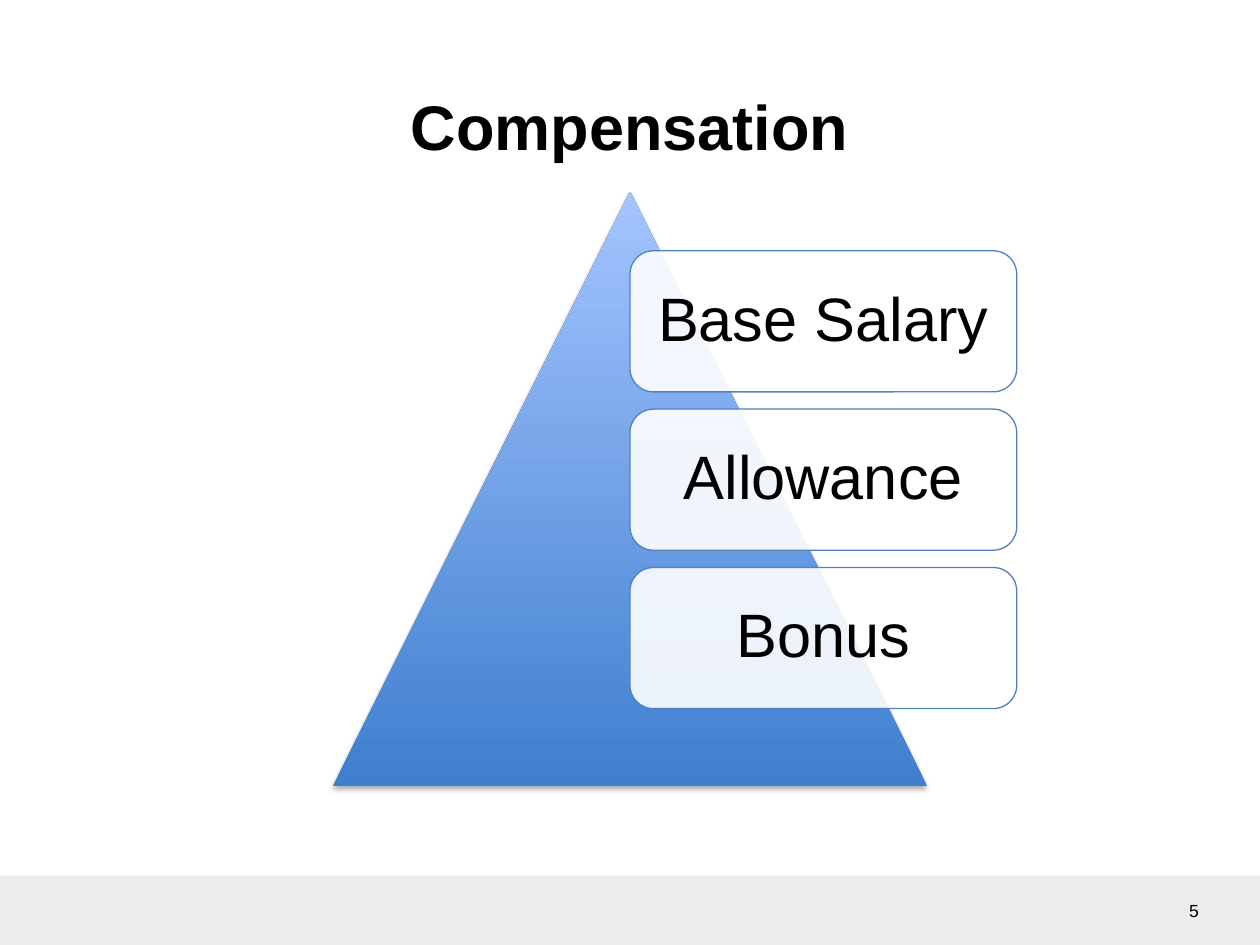
import pptx
import pptx.dml.color
import pptx.enum.shapes
import pptx.enum.text
import pptx.oxml
import pptx.oxml.ns
import pptx.util

Inches = pptx.util.Inches
SHAPE = pptx.enum.shapes.MSO_SHAPE
ALIGN = pptx.enum.text.PP_ALIGN
ANCHOR = pptx.enum.text.MSO_ANCHOR


def rgb(value):
    return pptx.dml.color.RGBColor.from_string(value)


def write(sp, text, size, bold=False, align=ALIGN.LEFT, anchor=ANCHOR.TOP,
          inset=(0.1, 0.05), spacing=1.0):
    tf = sp.text_frame
    tf.word_wrap = True
    tf.auto_size = pptx.enum.text.MSO_AUTO_SIZE.NONE
    tf.vertical_anchor = anchor
    tf.margin_left = tf.margin_right = Inches(inset[0])
    tf.margin_top = tf.margin_bottom = Inches(inset[1])
    p = tf.paragraphs[0]
    p.alignment = align
    p.line_spacing = spacing
    r = p.add_run()
    r.text = text
    r.font.name = "Arial"
    r.font.size = pptx.util.Pt(size)
    r.font.bold = bold
    r.font.color.rgb = rgb("000000")


prs = pptx.Presentation()
prs.slide_width, prs.slide_height = Inches(10), Inches(7.5)
s = prs.slides.add_slide(prs.slide_layouts[5])

title = s.shapes.title
title.left, title.top = Inches(3.16), Inches(0.66)
title.width, title.height = Inches(3.8), Inches(0.67)
write(title, "Compensation", 36, bold=True, anchor=ANCHOR.MIDDLE)

footer = s.shapes.add_shape(SHAPE.RECTANGLE, 0, Inches(6.95), Inches(10), Inches(0.55))
footer.shadow.inherit = False
footer.fill.solid()
footer.fill.fore_color.rgb = rgb("ECECEA")
footer.line.fill.background()

number = s.shapes.add_textbox(Inches(9.34), Inches(7.09), Inches(0.66), Inches(0.27))
write(number, "5", 10)

triangle = s.shapes.add_shape(
    SHAPE.ISOSCELES_TRIANGLE, Inches(2.64), Inches(1.52), Inches(4.72), Inches(4.72))
triangle.fill.gradient()
triangle.fill.gradient_angle = 90
for stop, color in zip(triangle.fill.gradient_stops, ("3F7FCE", "A4C4FF")):
    stop.color.rgb = rgb(color)
triangle.line.fill.background()
triangle.shadow.inherit = False
effects = triangle._element.spPr.find(pptx.oxml.ns.qn("a:effectLst"))
effects.append(pptx.oxml.parse_xml(
    f'<a:outerShdw {pptx.oxml.ns.nsdecls("a")} blurRad="40000" dist="23000" '
    'dir="5400000" rotWithShape="0"><a:srgbClr val="000000">'
    '<a:alpha val="35000"/></a:srgbClr></a:outerShdw>'))

for i, label in enumerate(("Base Salary", "Allowance", "Bonus")):
    sp = s.shapes.add_shape(
        SHAPE.ROUNDED_RECTANGLE, Inches(5), Inches(1.99 + 1.257 * i), Inches(3.07), Inches(1.12))
    sp.shadow.inherit = False
    sp.fill.solid()
    sp.fill.fore_color.rgb = rgb("FFFFFF")
    color = sp._element.spPr.find(".//" + pptx.oxml.ns.qn("a:srgbClr"))
    color.append(pptx.oxml.parse_xml(
        f'<a:alpha {pptx.oxml.ns.nsdecls("a")} val="90000"/>'))
    sp.line.color.rgb = rgb("4F81BD")
    sp.line.width = pptx.util.Pt(0.75)
    write(sp, label, 35, align=ALIGN.CENTER, anchor=ANCHOR.MIDDLE,
          inset=(0.15, 0.15), spacing=0.9)

prs.save("out.pptx")
